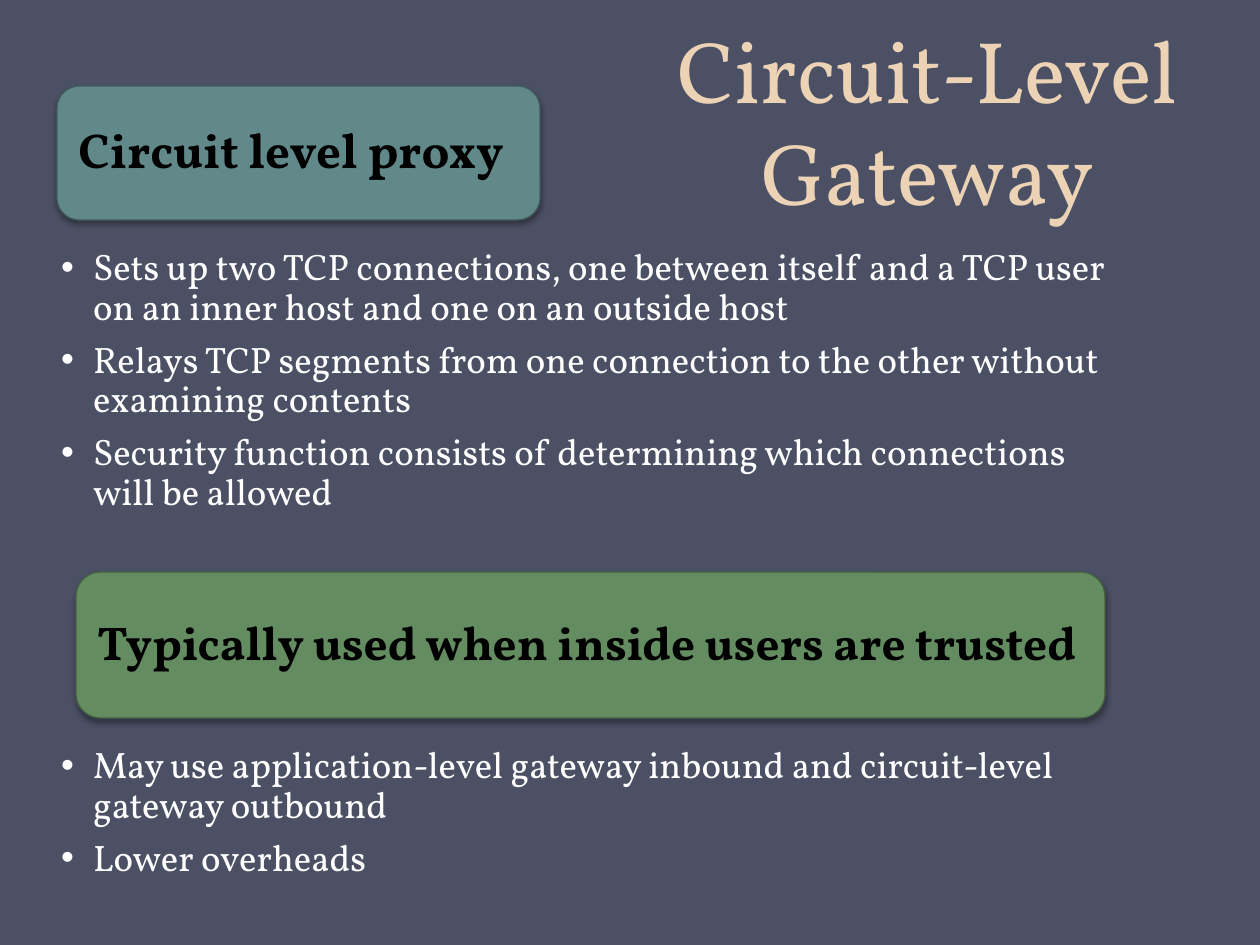
from lxml import etree
from pptx import Presentation
from pptx.dml.color import RGBColor
from pptx.enum.shapes import MSO_SHAPE
from pptx.enum.text import MSO_ANCHOR, MSO_AUTO_SIZE, PP_ALIGN
from pptx.oxml.ns import qn
from pptx.util import Emu, Pt

ROUNDED = MSO_SHAPE.ROUNDED_RECTANGLE
TOP, MIDDLE, BOTTOM = MSO_ANCHOR.TOP, MSO_ANCHOR.MIDDLE, MSO_ANCHOR.BOTTOM
LEFT, CENTER = PP_ALIGN.LEFT, PP_ALIGN.CENTER
NO_FIT = MSO_AUTO_SIZE.NONE
FONT = "Vollkorn"
SCALE = 914400 / 126
INDENT = 32

TITLE = ("Circuit-Level Gateway", (593, -57, 669, 286))
SECTIONS = [
    {
        "heading": "Circuit level proxy", "size": 28, "inset": 15,
        "box": (57, 86, 483, 134), "fill": "61898A", "line": "415B5C",
        "list_box": (25, 244, 1134, 370),
        "bullets": [
            "Sets up two TCP connections, one between itself and a TCP user on an inner host and one on an outside host",
            "Relays TCP segments from one connection to the other without examining contents",
            "Security function consists of determining which connections will be allowed",
        ],
    },
    {
        "heading": "Typically used when inside users are trusted", "size": 27, "inset": 14,
        "box": (76, 572, 1029, 146), "fill": "648C61", "line": "435E40",
        "list_box": (25, 742, 1134, 188),
        "bullets": [
            "May use application-level gateway inbound and circuit-level gateway outbound",
            "Lower overheads",
        ],
    },
]


def px(n):
    return Emu(round(n * SCALE))


def color(value):
    return RGBColor.from_string(value)


def place(s, box):
    s.left, s.top, s.width, s.height = map(px, box)


def set_frame(tf, anchor, insets):
    tf.word_wrap = True
    tf.auto_size = NO_FIT
    tf.vertical_anchor = anchor
    tf.margin_left, tf.margin_top, tf.margin_right, tf.margin_bottom = map(px, insets)


def add_text(p, text, size, hex_color, spacing, align=LEFT, bold=False):
    p.alignment = align
    p.line_spacing = spacing
    p.space_before = Pt(0)
    r = p.add_run()
    r.text = text
    r.font.name, r.font.size, r.font.bold = FONT, Pt(size), bold
    r.font.color.rgb = color(hex_color)


def add_shadow(s):
    s.shadow.inherit = False
    effects = s._element.spPr.find(qn("a:effectLst"))
    shadow = etree.SubElement(effects, qn("a:outerShdw"), blurRad=str(Pt(3.1)),
                              dist=str(Pt(1.8)), dir="5400000", rotWithShape="0")
    black = etree.SubElement(shadow, qn("a:srgbClr"), val="000000")
    etree.SubElement(black, qn("a:alpha"), val="35000")


def add_heading(slide, section):
    s = slide.shapes.add_shape(ROUNDED, *map(px, section["box"]))
    s.fill.solid()
    s.fill.fore_color.rgb = color(section["fill"])
    s.line.color.rgb = color(section["line"])
    s.line.width = Pt(0.75)
    add_shadow(s)
    set_frame(s.text_frame, MIDDLE, [section["inset"]] * 4)
    add_text(s.text_frame.paragraphs[0], section["heading"], section["size"],
             "000000", 0.9, bold=True)


def fill_list(s, section):
    place(s, section["list_box"])
    tf = s.text_frame
    set_frame(tf, TOP, (36, 5, 26, 5))
    for i, text in enumerate(section["bullets"]):
        p = tf.add_paragraph() if i else tf.paragraphs[0]
        p.level = 1
        pPr = p._p.get_or_add_pPr()
        pPr.set("marL", str(px(INDENT)))
        pPr.set("indent", str(px(-INDENT)))
        etree.SubElement(pPr, qn("a:buChar"), char="•")
        add_text(p, text, 21, "FFFFFF", 0.9)
        p.space_after = Pt(7.5)


def main():
    prs = Presentation()
    prs.slide_width, prs.slide_height = px(1260), px(945)
    slide = prs.slides.add_slide(prs.slide_layouts[3])
    slide.background.fill.solid()
    slide.background.fill.fore_color.rgb = color("4B5064")

    text, box = TITLE
    title = slide.shapes.title
    place(title, box)
    set_frame(title.text_frame, BOTTOM, (13, 6, 13, 6))
    add_text(title.text_frame.paragraphs[0], text, 50, "EDD3B6", Pt(58), CENTER)

    for idx, section in enumerate(SECTIONS, start=1):
        add_heading(slide, section)
        fill_list(slide.placeholders[idx], section)
    prs.save("out.pptx")


if __name__ == "__main__":
    main()
